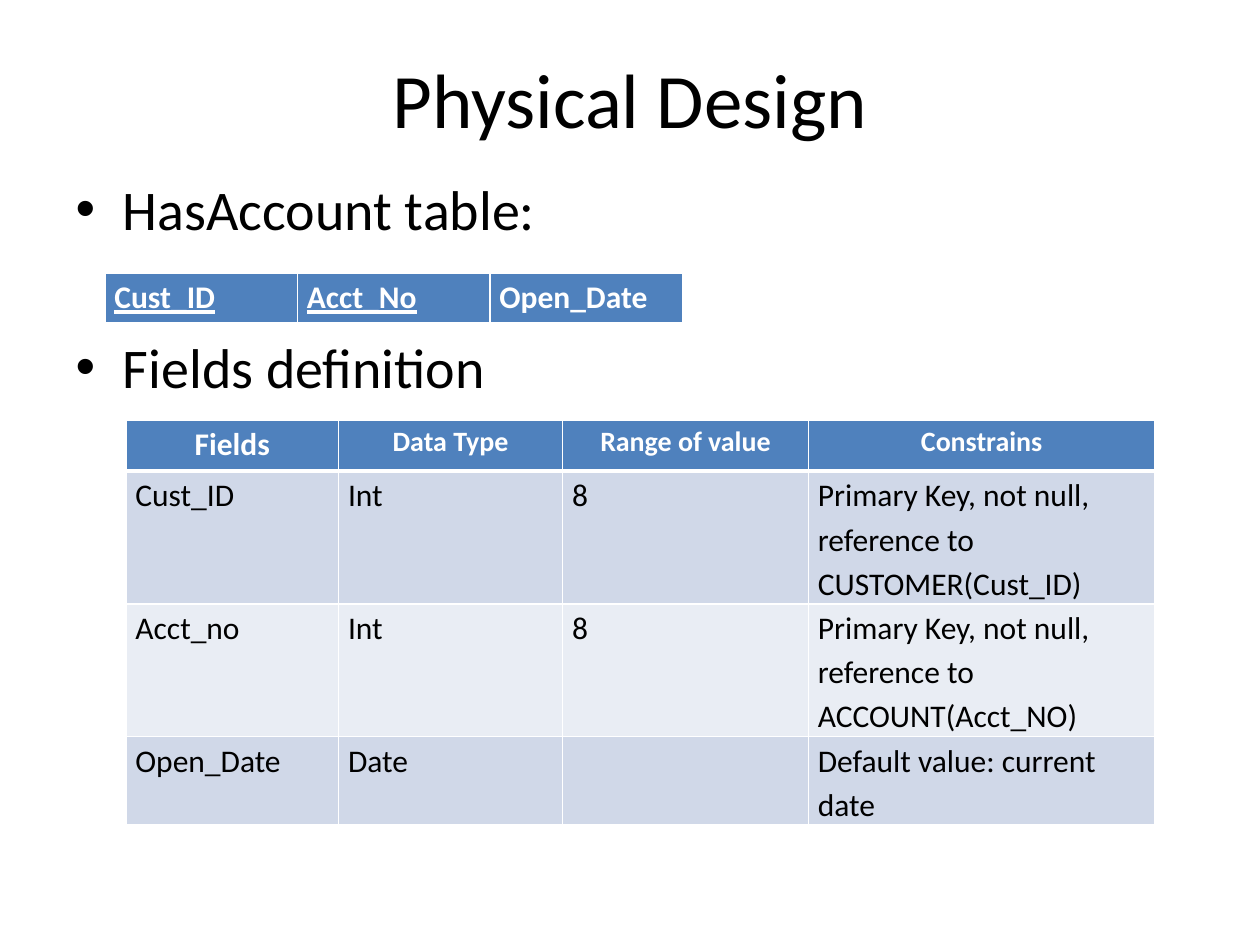
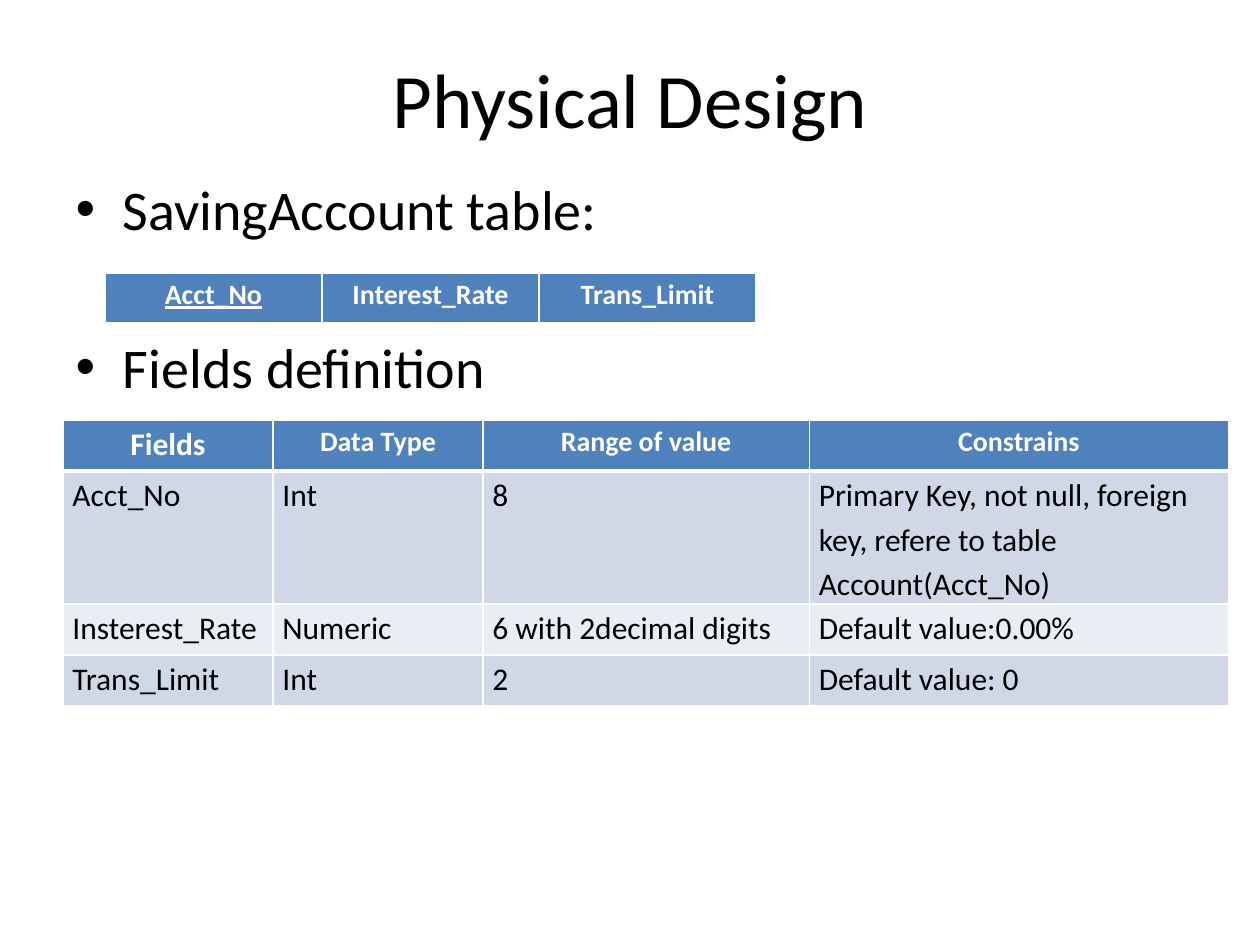
from lxml import etree
from pptx import Presentation
from pptx.dml.color import RGBColor
from pptx.enum import text as t
from pptx.oxml.ns import qn
from pptx.util import Pt

COLOURS = {
    "text": "000000",
    "header": "4F81BD",
    "header_text": "FFFFFF",
    "border": "FFFFFF",
    "bands": ("D0D8E8", "E9EDF4"),
}
FONT = "Calibri"
TITLE = "Physical Design"
DEFINITION_HEADING = "Fields definition"
DEFINITION_HEADER = ["Fields", "Data Type", "Range of value", "Constrains"]
DEFINITION_HEADER_SIZES = [18, 16, 16, 16]

RELATIONS = [
    {
        "heading": "HasAccount table:",
        "columns": ["Cust_ID", "Acct_No", "Open_Date"],
        "keys": {"Cust_ID", "Acct_No"},
        "column_width": 110,
        "column_format": {"size": 18},
        "left": 72,
        "widths": [121.5, 128, 140.5, 198],
        "fields": [
            ["Cust_ID", "Int", "8", "Primary Key, not null, reference to CUSTOMER(Cust_ID)"],
            ["Acct_no", "Int", "8", "Primary Key, not null, reference to ACCOUNT(Acct_NO)"],
            ["Open_Date", "Date", "", "Default value: current date"],
        ],
    },
    {
        "heading": "SavingAccount table:",
        "columns": ["Acct_No", "Interest_Rate", "Trans_Limit"],
        "keys": {"Acct_No"},
        "column_width": 124,
        "column_format": {"size": 16, "align": t.PP_ALIGN.CENTER},
        "left": 36,
        "widths": [120, 120, 186.5, 239.5],
        "fields": [
            ["Acct_No", "Int", "8",
             "Primary Key, not null, foreign key, refere to table Account(Acct_No)"],
            ["Insterest_Rate", "Numeric", "6 with 2decimal digits", "Default value:0.00%"],
            ["Trans_Limit", "Int", "2", "Default value: 0"],
        ],
    },
]

TITLE_BOX = (36, 21.6, 648, 68.4)
BODY_BOX = (36, 96, 648, 356.4)
COLUMNS_LEFT, COLUMNS_TOP = 60, 156
DEFINITION_TOP = 240
ROW_HEIGHT = 29.25
HEADING_GAP = 51.85
CELL_MARGIN = 5.4


def write(paragraph, content, size=18, colour="text", bold=False, underline=False,
          align=t.PP_ALIGN.LEFT, before=0, spacing=None):
    paragraph.alignment = align
    paragraph.space_before = Pt(before)
    if spacing:
        paragraph.line_spacing = spacing
    run = paragraph.add_run()
    run.text = content
    font = run.font
    font.name, font.size = FONT, Pt(size)
    font.bold, font.underline = bold, underline
    font.color.rgb = RGBColor.from_string(COLOURS[colour])


def place(placeholder, box):
    placeholder.left, placeholder.top, placeholder.width, placeholder.height = map(Pt, box)


def add_borders(cell, top, bottom):
    properties = cell._tc.get_or_add_tcPr()
    for side, width in (("L", 1), ("R", 1), ("T", top), ("B", bottom)):
        line = etree.SubElement(properties, qn(f"a:ln{side}"), w=str(Pt(width)))
        fill = etree.SubElement(line, qn("a:solidFill"))
        etree.SubElement(fill, qn("a:srgbClr"), val=COLOURS["border"])


def add_grid(slide, left, top, widths, rows, cell_format):
    """Draw a table whose first row is the header; cell_format(row, column) gives text options."""
    grid = slide.shapes.add_table(len(rows), len(widths), Pt(left), Pt(top),
                                  Pt(sum(widths)), Pt(ROW_HEIGHT * len(rows))).table
    for column, width in zip(grid.columns, widths):
        column.width = Pt(width)
    for r, row in enumerate(rows):
        fill = COLOURS["bands"][(r - 1) % 2] if r else COLOURS["header"]
        for c, content in enumerate(row):
            cell = grid.cell(r, c)
            cell.margin_left = cell.margin_right = Pt(CELL_MARGIN)
            cell.margin_top = cell.margin_bottom = 0
            add_borders(cell, top=3 if r == 1 else 1, bottom=1 if r else 3)
            cell.fill.solid()
            cell.fill.fore_color.rgb = RGBColor.from_string(fill)
            if content:
                write(cell.text_frame.paragraphs[0], content, spacing=1.15,
                      **cell_format(r, c))


def definition_format(row, column):
    if row:
        return {}
    return {"size": DEFINITION_HEADER_SIZES[column], "colour": "header_text",
            "bold": True, "align": t.PP_ALIGN.CENTER}


def add_relation_slide(deck, relation):
    slide = deck.slides.add_slide(deck.slide_layouts[1])
    title, body = slide.placeholders
    place(title, TITLE_BOX)
    title.text_frame.vertical_anchor = t.MSO_ANCHOR.MIDDLE
    write(title.text_frame.paragraphs[0], TITLE, size=44, align=t.PP_ALIGN.CENTER)

    place(body, BODY_BOX)
    write(body.text_frame.paragraphs[0], relation["heading"], size=32)
    write(body.text_frame.add_paragraph(), DEFINITION_HEADING, size=32, before=HEADING_GAP)

    columns = relation["columns"]

    def column_format(row, column):
        return {"colour": "header_text", "bold": True,
                "underline": columns[column] in relation["keys"],
                **relation["column_format"]}

    add_grid(slide, COLUMNS_LEFT, COLUMNS_TOP, [relation["column_width"]] * len(columns),
             [columns], column_format)
    add_grid(slide, relation["left"], DEFINITION_TOP, relation["widths"],
             [DEFINITION_HEADER] + relation["fields"], definition_format)


def main():
    deck = Presentation()
    deck.slide_width, deck.slide_height = Pt(720), Pt(540)
    for relation in RELATIONS:
        add_relation_slide(deck, relation)
    deck.save("out.pptx")


if __name__ == "__main__":
    main()
